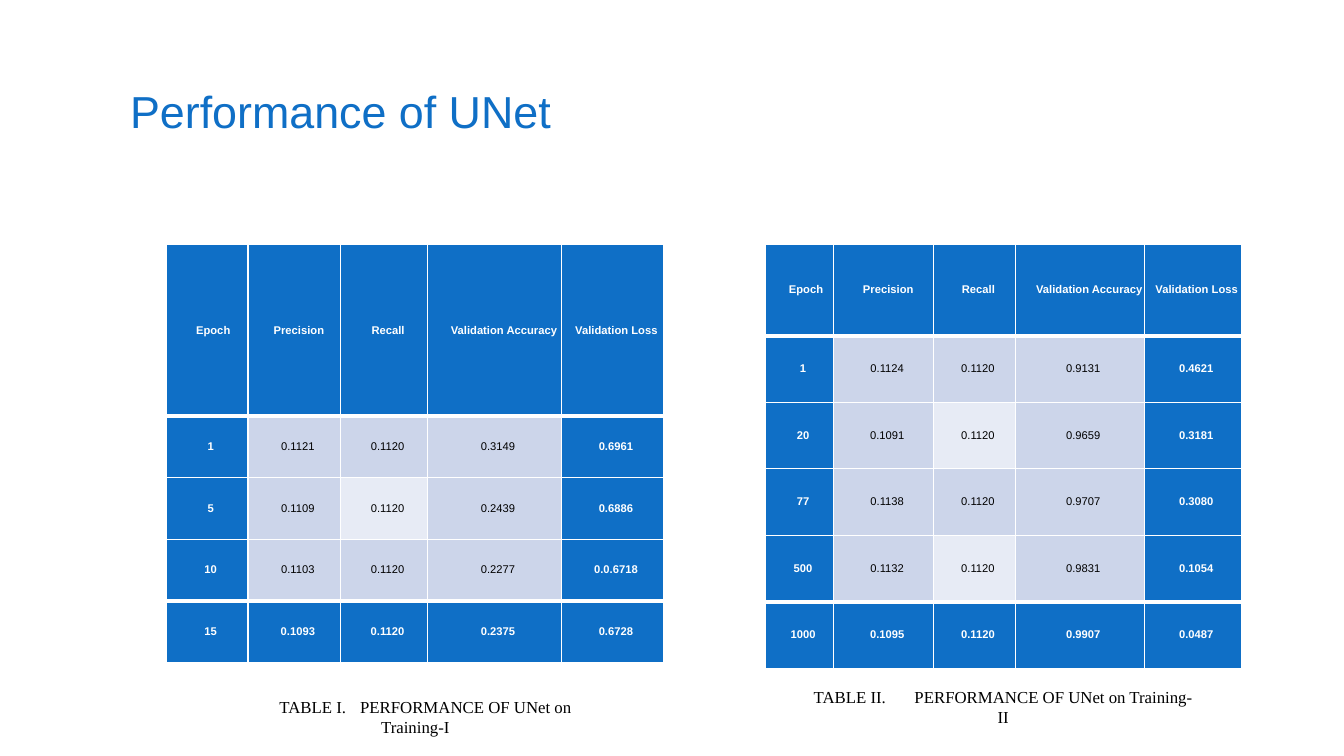
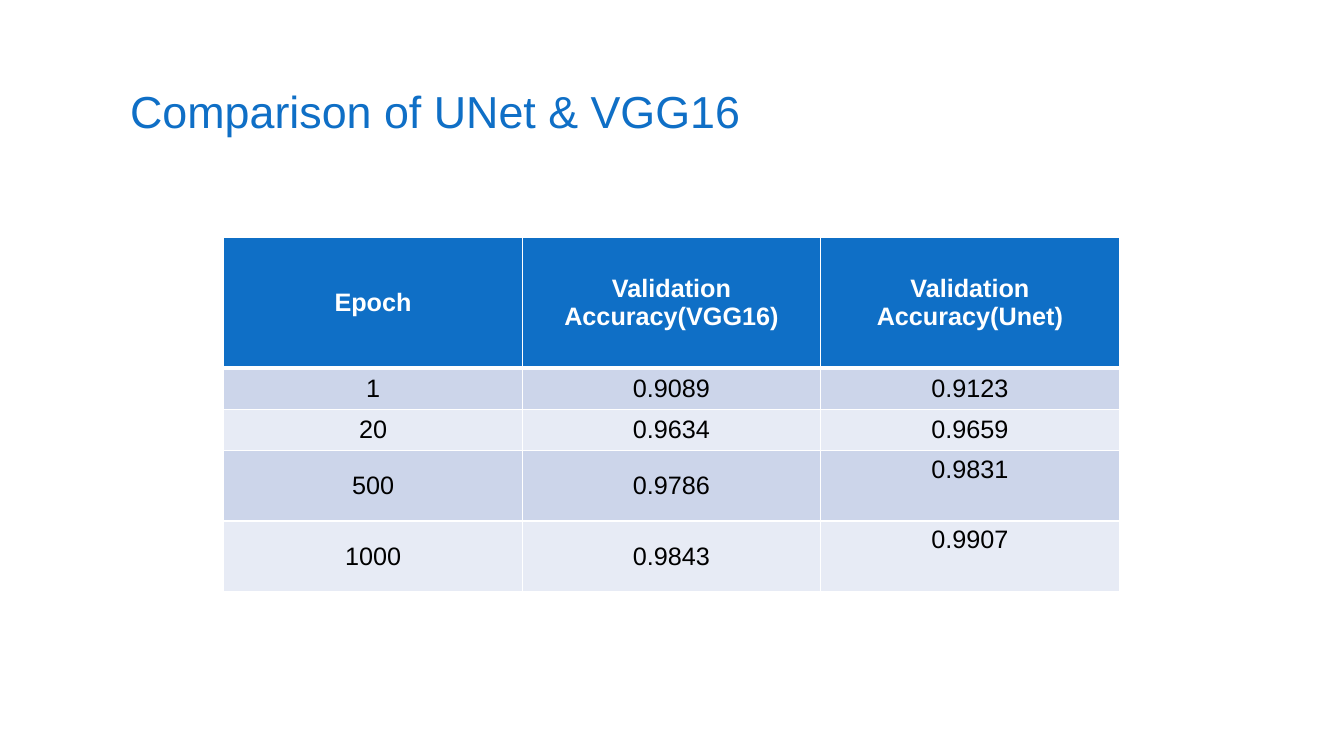
from dataclasses import dataclass
from typing import Any

import lxml.etree
import pptx
import pptx.dml.color
import pptx.enum.text
import pptx.oxml.ns
import pptx.util

EMU_PER_PX = 9144  # 100 px to the inch
SLIDE_WIDTH, SLIDE_HEIGHT = 1333, 750
TITLE_ONLY_LAYOUT = 5

BLUE = pptx.dml.color.RGBColor(0x0F, 0x6F, 0xC6)
BAND = pptx.dml.color.RGBColor(0xCC, 0xD5, 0xEA)
PALE = pptx.dml.color.RGBColor(0xE7, 0xEB, 0xF5)
WHITE = pptx.dml.color.RGBColor(0xFF, 0xFF, 0xFF)
BLACK = pptx.dml.color.RGBColor(0x00, 0x00, 0x00)

SANS = "Arial"
SERIF = "Times New Roman"
LEFT = pptx.enum.text.PP_ALIGN.LEFT
CENTER = pptx.enum.text.PP_ALIGN.CENTER
TOP = pptx.enum.text.MSO_ANCHOR.TOP
MIDDLE = pptx.enum.text.MSO_ANCHOR.MIDDLE

THIN, THICK = 1, 3


@dataclass(frozen=True)
class TextFormat:
    """Paragraph spacing in points; margin, first-line indent and tab in px."""
    space_before: float | None = None
    line_spacing: float | None = None
    margin: int = 0
    indent: int = 0
    tab: int | None = None


@dataclass(frozen=True)
class MetricsTable:
    left: int
    top: int
    columns: tuple[int, ...]
    heights: tuple[int, ...]
    rows: tuple[tuple[str, ...], ...]
    size: int
    header_formats: tuple[TextFormat, ...]
    body_format: TextFormat = TextFormat()
    framed: bool = False  # blue outer columns and last row, no cell margins
    top_cells: tuple[tuple[int, int], ...] = ()

    def is_strong(self, row: int, column: int) -> bool:
        edge = column in (0, len(self.columns) - 1) or row == len(self.rows) - 1
        return row == 0 or (self.framed and edge)

    def fill(self, row: int, column: int) -> pptx.dml.color.RGBColor:
        if self.is_strong(row, column):
            return BLUE
        pale = row % 2 == 0 and (not self.framed or column == 2)
        return PALE if pale else BAND

    def rule_width(self, boundary: int) -> int:
        """Width of the horizontal rule above the row with this number."""
        thick = boundary == 1 or (self.framed and boundary == len(self.rows) - 1)
        return THICK if thick else THIN


@dataclass(frozen=True)
class Caption:
    left: int
    width: int
    text: str
    anchor: pptx.enum.text.MSO_ANCHOR
    indent: int = 0


METRIC_HEADER = ("Epoch", "Precision", "Recall", "Validation Accuracy", "Validation Loss")
METRIC_FORMATS = tuple(
    TextFormat(line_spacing=9.1, margin=margin, indent=indent)
    for margin, indent in ((8, 1), (18, -10), (22, -3), (22, -14))
)

TRAINING_TABLES = (
    MetricsTable(
        left=165, top=242, columns=(81, 92, 86, 133, 101),
        heights=(171, 61, 61, 61, 61), size=8, framed=True,
        header_formats=(TextFormat(space_before=0.1, margin=12), *METRIC_FORMATS),
        body_format=TextFormat(space_before=0.1, margin=7),
        rows=(
            METRIC_HEADER,
            ("1", "0.1121", "0.1120", "0.3149", "0.6961"),
            ("5", "0.1109", "0.1120", "0.2439", "0.6886"),
            ("10", "0.1103", "0.1120", "0.2277", "0.0.6718"),
            ("15", "0.1093", "0.1120", "0.2375", "0.6728"),
        ),
    ),
    MetricsTable(
        left=759, top=242, columns=(68, 99, 81, 128, 96),
        heights=(91, 66, 66, 66, 66, 66), size=8, framed=True,
        header_formats=(TextFormat(space_before=4.7, margin=13), *METRIC_FORMATS),
        body_format=TextFormat(space_before=2.2, margin=7),
        rows=(
            METRIC_HEADER,
            ("1", "0.1124", "0.1120", "0.9131", "0.4621"),
            ("20", "0.1091", "0.1120", "0.9659", "0.3181"),
            ("77", "0.1138", "0.1120", "0.9707", "0.3080"),
            ("500", "0.1132", "0.1120", "0.9831", "0.1054"),
            ("1000", "0.1095", "0.1120", "0.9907", "0.0487"),
        ),
    ),
)

CAPTIONS = (
    Caption(792, 406, "TABLE II.\tPERFORMANCE OF UNet on Training-II", MIDDLE),
    Caption(216, 392, "TABLE I.\tPERFORMANCE OF UNet on Training-I", TOP, indent=20),
)

COMPARISON_TABLE = MetricsTable(
    left=222, top=236, columns=(296, 296, 296), heights=(129, 41, 41, 70, 70),
    size=18, header_formats=(TextFormat(),) * 3, top_cells=((3, 2), (4, 2)),
    rows=(
        ("Epoch", "Validation Accuracy(VGG16)", "Validation Accuracy(Unet)"),
        ("1", "0.9089", "0.9123"),
        ("20", "0.9634", "0.9659"),
        ("500", "0.9786", "0.9831"),
        ("1000", "0.9843", "0.9907"),
    ),
)


def px(length: int) -> pptx.util.Emu:
    return pptx.util.Emu(length * EMU_PER_PX)


def write_text(
    frame: Any, text: str, *, size: int, color: pptx.dml.color.RGBColor,
    font: str = SANS, bold: bool = False,
    align: pptx.enum.text.PP_ALIGN = CENTER, layout: TextFormat = TextFormat(),
) -> None:
    frame.word_wrap = True
    paragraph = frame.paragraphs[0]
    paragraph.alignment = align
    if layout.space_before is not None:
        paragraph.space_before = pptx.util.Pt(layout.space_before)
    if layout.line_spacing is not None:
        paragraph.line_spacing = pptx.util.Pt(layout.line_spacing)
    properties = paragraph._p.get_or_add_pPr()
    properties.set("marL", str(px(layout.margin)))
    properties.set("indent", str(px(layout.indent)))
    if layout.tab is not None:
        tabs = lxml.etree.SubElement(properties, pptx.oxml.ns.qn("a:tabLst"))
        lxml.etree.SubElement(
            tabs, pptx.oxml.ns.qn("a:tab"), pos=str(px(layout.tab)), algn="l")
    run = paragraph.add_run()
    run.text = text
    run.font.name = font
    run.font.size = pptx.util.Pt(size)
    run.font.bold = bold
    run.font.color.rgb = color


def add_titled_slide(presentation: Any, title: str) -> Any:
    slide = presentation.slides.add_slide(presentation.slide_layouts[TITLE_ONLY_LAYOUT])
    shape = slide.shapes.title
    shape.left, shape.top, shape.width, shape.height = px(119), px(78), px(1200), px(53)
    shape.text_frame.auto_size = pptx.enum.text.MSO_AUTO_SIZE.NONE
    shape.text_frame.vertical_anchor = TOP
    write_text(shape.text_frame, title, size=32, color=BLUE, align=LEFT)
    return slide


def set_borders(cell: Any, top: int, bottom: int) -> None:
    """Draw white cell borders; call before the fill, which follows them in the XML."""
    properties = cell._tc.get_or_add_tcPr()
    for side, width in (("L", THIN), ("R", THIN), ("T", top), ("B", bottom)):
        line = lxml.etree.SubElement(
            properties, pptx.oxml.ns.qn(f"a:ln{side}"), w=str(pptx.util.Pt(width)))
        solid = lxml.etree.SubElement(line, pptx.oxml.ns.qn("a:solidFill"))
        lxml.etree.SubElement(solid, pptx.oxml.ns.qn("a:srgbClr"), val=str(WHITE))


def add_metrics_table(slide: Any, spec_table: MetricsTable) -> None:
    frame = slide.shapes.add_table(
        len(spec_table.rows), len(spec_table.columns),
        px(spec_table.left), px(spec_table.top),
        px(sum(spec_table.columns)), px(sum(spec_table.heights)))
    table = frame.table
    table.horz_banding = False
    for column, width in zip(table.columns, spec_table.columns):
        column.width = px(width)
    for row, height in zip(table.rows, spec_table.heights):
        row.height = px(height)

    for row_index, values in enumerate(spec_table.rows):
        for column_index, value in enumerate(values):
            cell = table.cell(row_index, column_index)
            set_borders(cell, spec_table.rule_width(row_index),
                        spec_table.rule_width(row_index + 1))
            cell.fill.solid()
            cell.fill.fore_color.rgb = spec_table.fill(row_index, column_index)
            at_top = (row_index, column_index) in spec_table.top_cells
            cell.vertical_anchor = TOP if at_top else MIDDLE
            if spec_table.framed:
                cell.margin_left = cell.margin_right = 0
                cell.margin_top = cell.margin_bottom = 0
            strong = spec_table.is_strong(row_index, column_index)
            layout = (spec_table.body_format if row_index
                      else spec_table.header_formats[column_index])
            write_text(cell.text_frame, value, size=spec_table.size, bold=strong,
                       color=WHITE if strong else BLACK, layout=layout)


def add_caption(slide: Any, caption: Caption) -> None:
    shape = slide.shapes.add_textbox(px(caption.left), px(686), px(caption.width), px(30))
    shape.text_frame.vertical_anchor = caption.anchor
    write_text(shape.text_frame, caption.text, size=12, font=SERIF, color=BLACK,
               layout=TextFormat(indent=caption.indent, tab=87))


def main() -> None:
    presentation = pptx.Presentation()
    presentation.slide_width = px(SLIDE_WIDTH)
    presentation.slide_height = px(SLIDE_HEIGHT)

    performance_slide = add_titled_slide(presentation, "Performance of UNet")
    for table in TRAINING_TABLES:
        add_metrics_table(performance_slide, table)
    for caption in CAPTIONS:
        add_caption(performance_slide, caption)

    comparison_slide = add_titled_slide(presentation, "Comparison of UNet & VGG16")
    add_metrics_table(comparison_slide, COMPARISON_TABLE)

    presentation.save("out.pptx")


if __name__ == "__main__":
    main()
